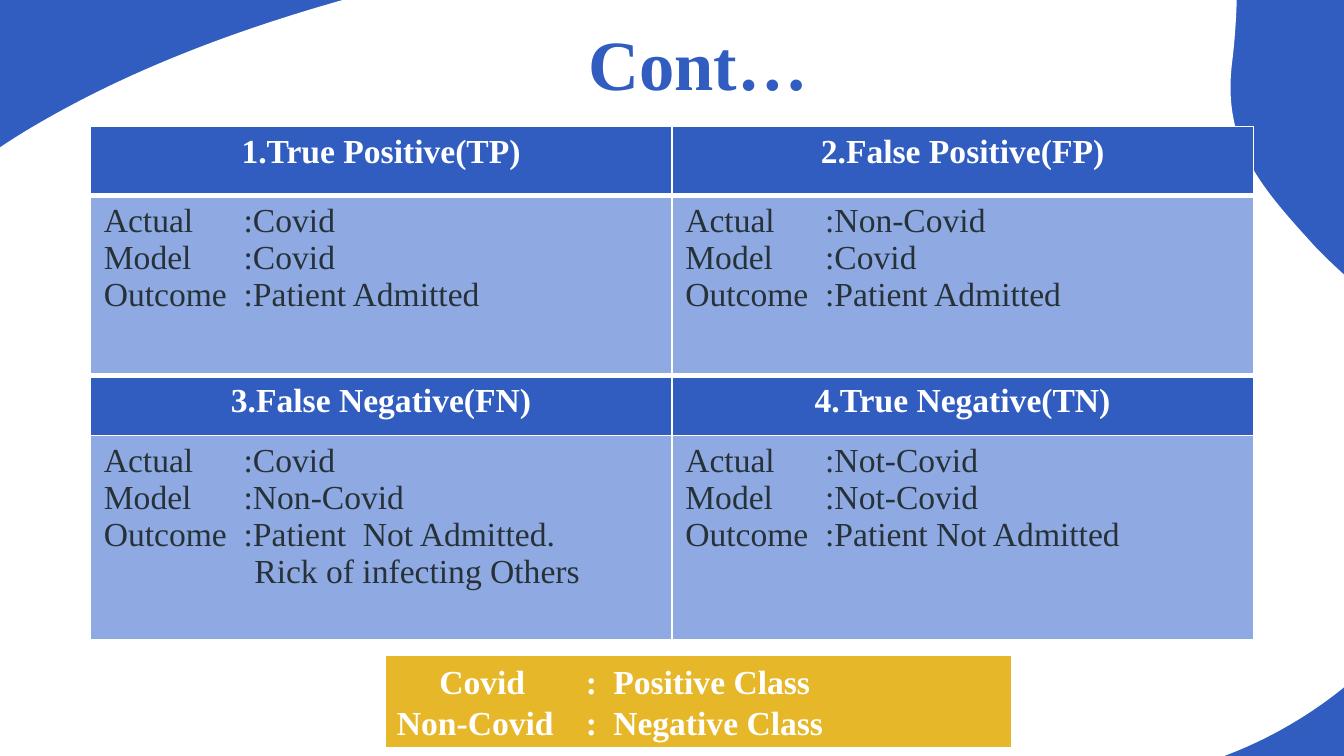
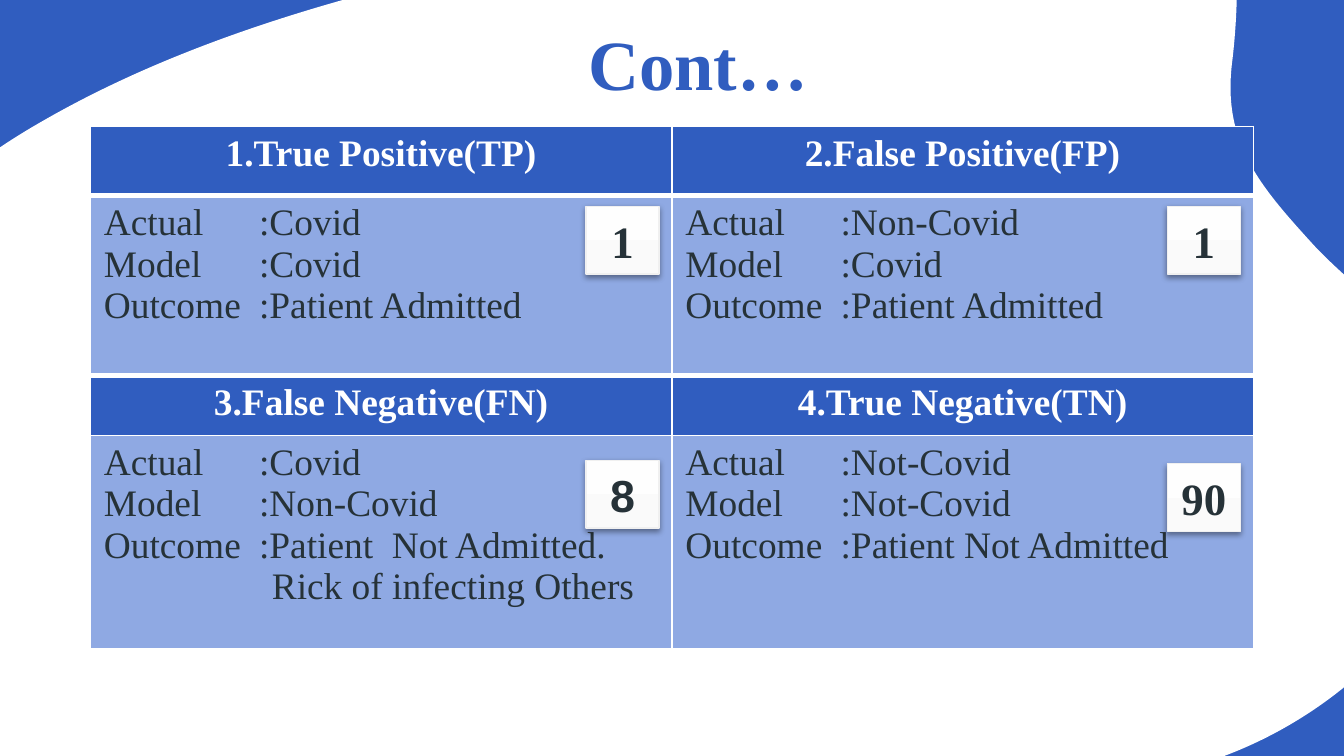
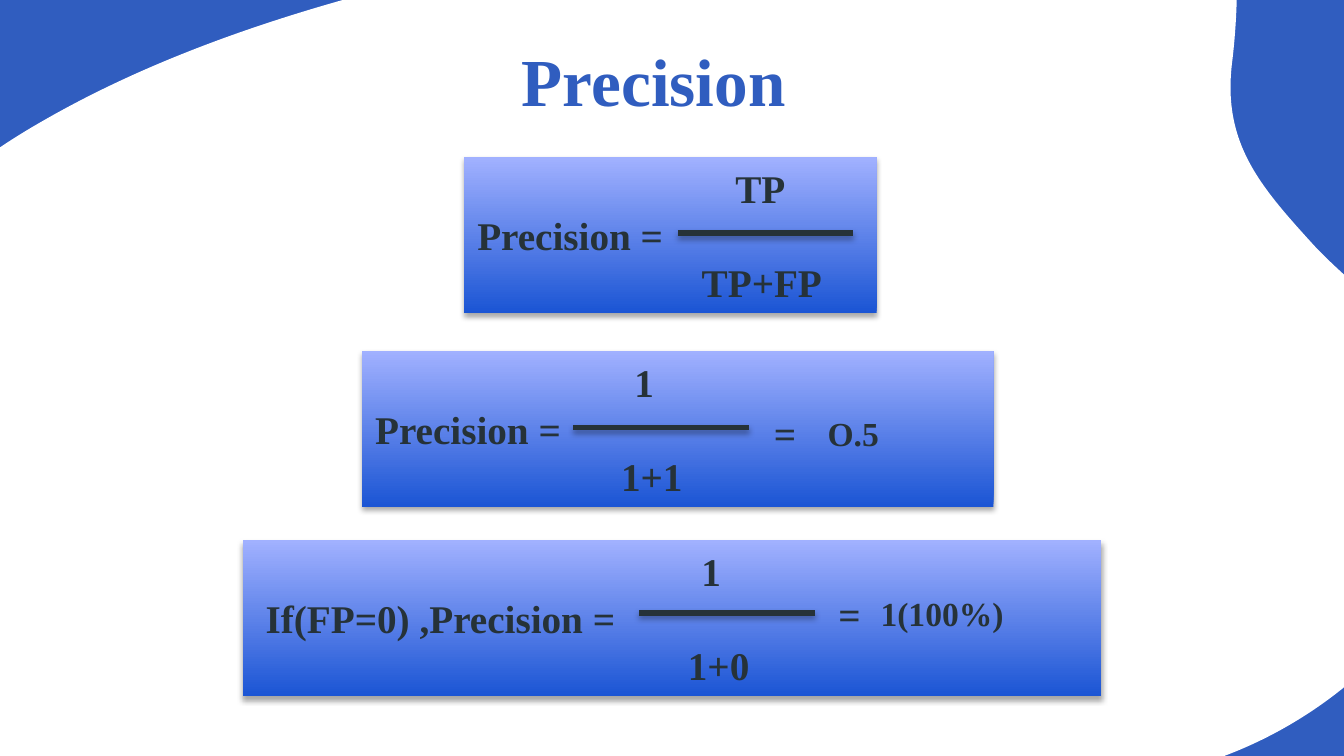
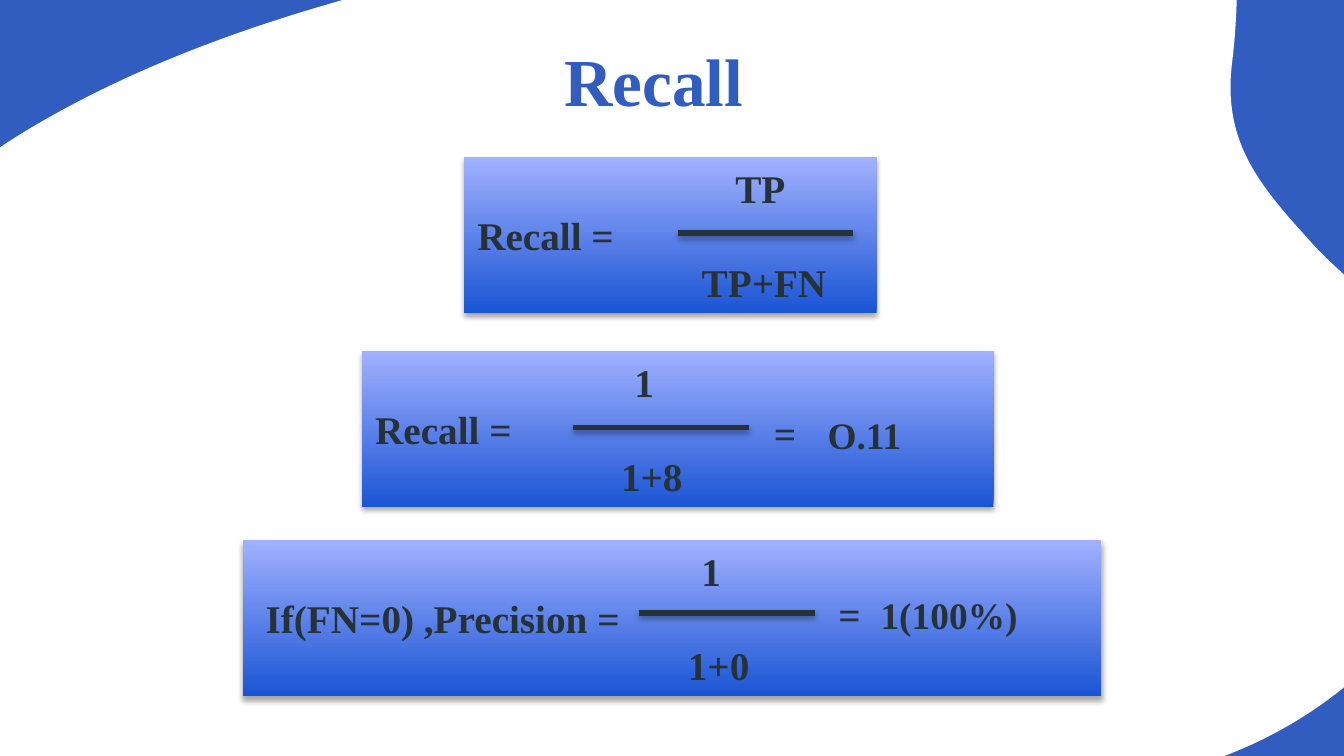
from typing import NamedTuple, Sequence

from lxml import etree
from pptx import Presentation
from pptx import util as u
from pptx.dml.color import RGBColor
from pptx.enum import shapes, text
from pptx.oxml.ns import qn

BLUE = RGBColor(0x30, 0x5D, 0xBF)
PALE = RGBColor(0x8F, 0xA9, 0xE3)
GOLD = RGBColor(0xE6, 0xB7, 0x29)
DARK = RGBColor(0x26, 0x32, 0x38)
WHITE = RGBColor(0xFF, 0xFF, 0xFF)
EDGE = RGBColor(0xF0, 0xF0, 0xF0)
SKY = (RGBColor(0x1B, 0x55, 0xD4), RGBColor(0xA1, 0xB1, 0xFF))
SNOW = (RGBColor(0xFA, 0xFA, 0xFA), RGBColor(0xFE, 0xFE, 0xFE))
SERIF = "Times New Roman"

# The slide is a grid of 100 columns by 56.25 rows of square cells.
CELL = u.Inches(0.1)
COLS, ROWS = 100, 56.25


class Box(NamedTuple):
    x: float
    y: float
    w: float
    h: float


class Case(NamedTuple):
    name: str
    actual: str
    model: str
    result: str


class Sum(NamedTuple):
    """A formula panel: bar is its line, stops place the fraction."""
    box: Box
    bar: Box
    stops: tuple[float, float]
    equal: Box | None = None
    answer: Box | None = None


CASES = (
    Case("1.True Positive(TP)", "Covid", "Covid", "Patient Admitted"),
    Case("2.False Positive(FP)", "Non-Covid", "Covid", "Patient Admitted"),
    Case("3.False Negative(FN)", "Covid", "Non-Covid",
         "Patient  Not Admitted.\n\t\tRick of infecting Others"),
    Case("4.True Negative(TN)", "Not-Covid", "Not-Covid", "Patient Not Admitted"),
)
SUMS = (
    Sum(Box(34.53, 11.7, 30.7, 11.6), Box(50.43, 17.35, 13.05, 0), (16.7, 19.2)),
    Sum(Box(26.93, 26.1, 47, 11.6), Box(42.63, 31.8, 13.1, 0), (18.3, 19.3),
        Box(56.6, 29.95, 3.1, 4.5), Box(60.6, 30.2, 9.3, 4.2)),
    Sum(Box(18.05, 40.2, 63.9, 11.6), Box(47.55, 45.6, 13.1, 0), (32.15, 33.15),
        Box(61.4, 43.45, 3.1, 4.5), Box(64.53, 43.6, 13.1, 4.2)),
)
START = (80.6, -24.4)
BENDS = (  # two controls and an end for each curve of the blob
    (77.1, -25.9, 72.6, -26.4, 66.8, -25.4), (57.5, -23.8, 50.5, -16.4, 45.5, -9.1),
    (41.2, -2.8, 33.1, -1.9, 26.6, -0.3), (18.6, 1.9, 10.5, 4.8, 3.2, 9),
    (-11.9, 17.6, -15.9, 29.1, -14.7, 43.6), (-14.3, 47.9, -13.4, 54.8, -5.6, 62.6),
    (-2.6, 65.5, 0.7, 67.7, 4.2, 69.2), (13.3, 72.9, 24.3, 72.2, 36.7, 68),
    (40.7, 66.7, 44.4, 64.8, 48.2, 63.3), (52.2, 61.6, 56.5, 60.5, 60.8, 59.9),
    (70.7, 58.5, 81.2, 59.8, 90.7, 56.4), (95.7, 54.6, 100.3, 51.5, 103.8, 47.5),
    (108.2, 42.4, 109.5, 35.6, 107, 29.4), (104.6, 23.6, 101.2, 21.9, 97.8, 18.3),
    (93.7, 13.8, 90.9, 10.6, 91.7, 4.5), (92.6, -3.1, 92.6, -19.4, *START),
)


def cells(n: float) -> int:
    return round(n * CELL)


def place(box: Box) -> list[int]:
    return [cells(n) for n in box]


def write(frame, words: str, *, size: float, color: RGBColor = DARK,
          bold: bool = True, font: str = SERIF, align=text.PP_ALIGN.LEFT,
          space: float | None = None, stops: Sequence[float] = ()) -> None:
    """Fill a frame, one paragraph a line, with tab stops given in cells."""
    for i, line in enumerate(words.split("\n")):
        para = frame.add_paragraph() if i else frame.paragraphs[0]
        para.alignment = align
        if space:
            para.line_spacing = space
        if stops:
            tabs = etree.SubElement(para._p.get_or_add_pPr(), qn("a:tabLst"))
            for stop in stops:
                etree.SubElement(tabs, qn("a:tab"), pos=str(cells(stop)), algn="l")
        run = para.add_run()
        run.text = line
        run.font.size, run.font.name, run.font.bold = u.Pt(size), font, bold
        run.font.color.rgb = color


def shade(shape, alpha: int = 35, drop: float = 1.8) -> None:
    """Add a soft shadow below; call it once fill and line are set."""
    glow = etree.SubElement(shape._element.spPr, qn("a:effectLst"))
    cast = etree.SubElement(glow, qn("a:outerShdw"), blurRad=str(u.Pt(3.1)),
                            dist=str(u.Pt(drop)), dir="5400000", rotWithShape="0")
    tint = etree.SubElement(cast, qn("a:srgbClr"), val="000000")
    etree.SubElement(tint, qn("a:alpha"), val=str(alpha * 1000))


def rule(cell, side: str, width: float) -> None:
    """Put a white border on one side of a cell."""
    line = etree.Element(qn(f"a:{side}"), w=str(u.Pt(width)))
    fill = etree.SubElement(line, qn("a:solidFill"))
    etree.SubElement(fill, qn("a:srgbClr"), val=str(WHITE))
    cell._tc.get_or_add_tcPr().insert(0, line)


def panel(slide, box: Box, fade: Sequence[RGBColor]):
    """Draw a rectangle whose colour fades from bottom to top."""
    shape = slide.shapes.add_shape(shapes.MSO_SHAPE.RECTANGLE, *place(box))
    shape.fill.gradient()
    shape.fill.gradient_angle = 90
    for stop, color in zip(shape.fill.gradient_stops, fade):
        stop.color.rgb = color
    shape.line.fill.background()
    return shape


def label(slide, box: Box, words: str, size: float) -> None:
    frame = slide.shapes.add_textbox(*place(box)).text_frame
    frame.word_wrap = True
    write(frame, words, size=size)


def bend(shape) -> None:
    """Turn each three straight segments of a freeform into one curve."""
    lines = list(shape._element.iter(qn("a:lnTo")))
    for i in range(0, len(lines), 3):
        curve = etree.Element(qn("a:cubicBezTo"))
        lines[i].addprevious(curve)
        for line in lines[i:i + 3]:
            curve.append(line[0])
            line.getparent().remove(line)


def dress(layout, slide) -> None:
    """Give the layout its blue ground and white blob."""
    layout.background.fill.solid()
    layout.background.fill.fore_color.rgb = BLUE
    dots = [(cells(b[i]), cells(b[i + 1])) for b in BENDS for i in (0, 2, 4)]
    pen = slide.shapes.build_freeform(*map(cells, START))
    pen.add_line_segments(dots, close=True)
    blob = pen.convert_to_shape()
    bend(blob)
    blob.fill.solid()
    blob.fill.fore_color.rgb = WHITE
    blob.line.fill.background()
    blob.shadow.inherit = False
    layout.shapes._spTree.insert(2, blob._element)


def head(slide, words: str, box: Box, *, size: float, anchor,
         inset: float = 0.5, space: float | None = None) -> None:
    title = slide.shapes.title
    title.left, title.top, title.width, title.height = place(box)
    frame = title.text_frame
    frame.auto_size = text.MSO_AUTO_SIZE.NONE
    frame.vertical_anchor = anchor
    frame.margin_top = frame.margin_bottom = cells(inset)
    write(frame, words, size=size, color=BLUE, align=text.PP_ALIGN.CENTER, space=space)


def matrix(slide, size: float, last: float, stops: Sequence[float]) -> None:
    """Draw the four cases as a table of names over details."""
    head(slide, "Cont…", Box(6.4, 2, 91.1, 6.4), size=37.8,
         anchor=text.MSO_ANCHOR.MIDDLE, space=0.8)
    rows = (5.15, 13.4, 4.45, last)
    table = slide.shapes.add_table(
        4, 2, *place(Box(6.73, 9.4, 86.54, sum(rows)))).table
    table.horz_banding = False
    for row, high in zip(table.rows, rows):
        row.height = cells(high)
    for i, case in enumerate(CASES):
        row, col = i // 2 * 2, i % 2
        facts = (f"Actual\t:{case.actual}\nModel\t:{case.model}\n"
                 f"Outcome\t:{case.result}")
        name, body = table.cell(row, col), table.cell(row + 1, col)
        for cell, color in ((name, BLUE), (body, PALE)):
            cell.fill.solid()
            cell.fill.fore_color.rgb = color
        if row == 0:
            rule(name, "lnB", 3)
            rule(body, "lnT", 3)
        write(name.text_frame, case.name, size=size, color=WHITE,
              align=text.PP_ALIGN.CENTER)
        write(body.text_frame, facts, size=size, bold=False, stops=stops)


def legend(slide) -> None:
    shape = slide.shapes.add_shape(shapes.MSO_SHAPE.RECTANGLE,
                                   *place(Box(28.55, 48.65, 46.8, 7.1)))
    shape.fill.solid()
    shape.fill.fore_color.rgb = GOLD
    shape.line.color.rgb, shape.line.width = WHITE, u.Pt(2.25)
    shape.shadow.inherit = False
    write(shape.text_frame, "\tCovid\t:\tPositive Class\nNon-Covid\t:\tNegative Class",
          size=18, color=WHITE, stops=(3.15, 14.05, 16.1))


def count(slide, x: float, y: float, words: str, font: str = SERIF) -> None:
    shape = panel(slide, Box(x, y, 5.45, 5.05), SNOW)
    shape.line.color.rgb, shape.line.width = EDGE, u.Pt(0.75)
    shade(shape, 38, 1.6)
    shape.text_frame.margin_left = shape.text_frame.margin_right = 0
    write(shape.text_frame, words, size=24, font=font, align=text.PP_ALIGN.CENTER)


def ratio(slide, plan: Sum, lead: str, over: str, under: str,
          answer: str = "", size: float = 18) -> None:
    """Draw one formula: lead = over / under = answer."""
    shape = panel(slide, plan.box, SKY)
    shade(shape)
    write(shape.text_frame, f"\t\t{over}\n{lead} =\n\t{under}", size=21,
          stops=plan.stops)
    x, y, w, h = place(plan.bar)
    bar = slide.shapes.add_connector(shapes.MSO_CONNECTOR.STRAIGHT, x, y, x + w, y + h)
    bar.line.color.rgb, bar.line.width = DARK, u.Pt(3)
    shade(bar)
    if plan.equal and plan.answer:
        label(slide, plan.equal, "=", 21)
        label(slide, plan.answer, answer, size)


def score(slide, name: str, miss: str, wrong: int, value: str, size: float) -> None:
    """Draw the three formulas of one measure."""
    head(slide, name, Box(10.1, 1.9, 77.1, 6.7), size=36,
         anchor=text.MSO_ANCHOR.TOP, inset=1)
    ratio(slide, SUMS[0], name, "TP", f"TP+{miss}")
    ratio(slide, SUMS[1], name, "1", f"1+{wrong}", value, size)
    ratio(slide, SUMS[2], f" If({miss}=0) ,Precision", "1", "1+0", "1(100%)", size)


def main() -> None:
    deck = Presentation()
    deck.slide_width, deck.slide_height = cells(COLS), cells(ROWS)
    layout = deck.slide_layouts[5]
    first, second, third, fourth = (deck.slides.add_slide(layout) for _ in range(4))
    dress(layout, first)

    matrix(first, 18, 15.2, (10.4, 11.2))
    legend(first)

    matrix(second, 20, 15.9, (11.55, 12.5))
    count(second, 43.6, 15.35, "1")
    count(second, 86.85, 15.35, "1")
    count(second, 86.85, 34.5, "90")
    count(second, 43.6, 34.25, "8", "Arial")

    score(third, "Precision", "FP", 1, "O.5", 18)
    score(fourth, "Recall", "FN", 8, "O.11", 20)
    deck.save("out.pptx")


if __name__ == "__main__":
    main()
